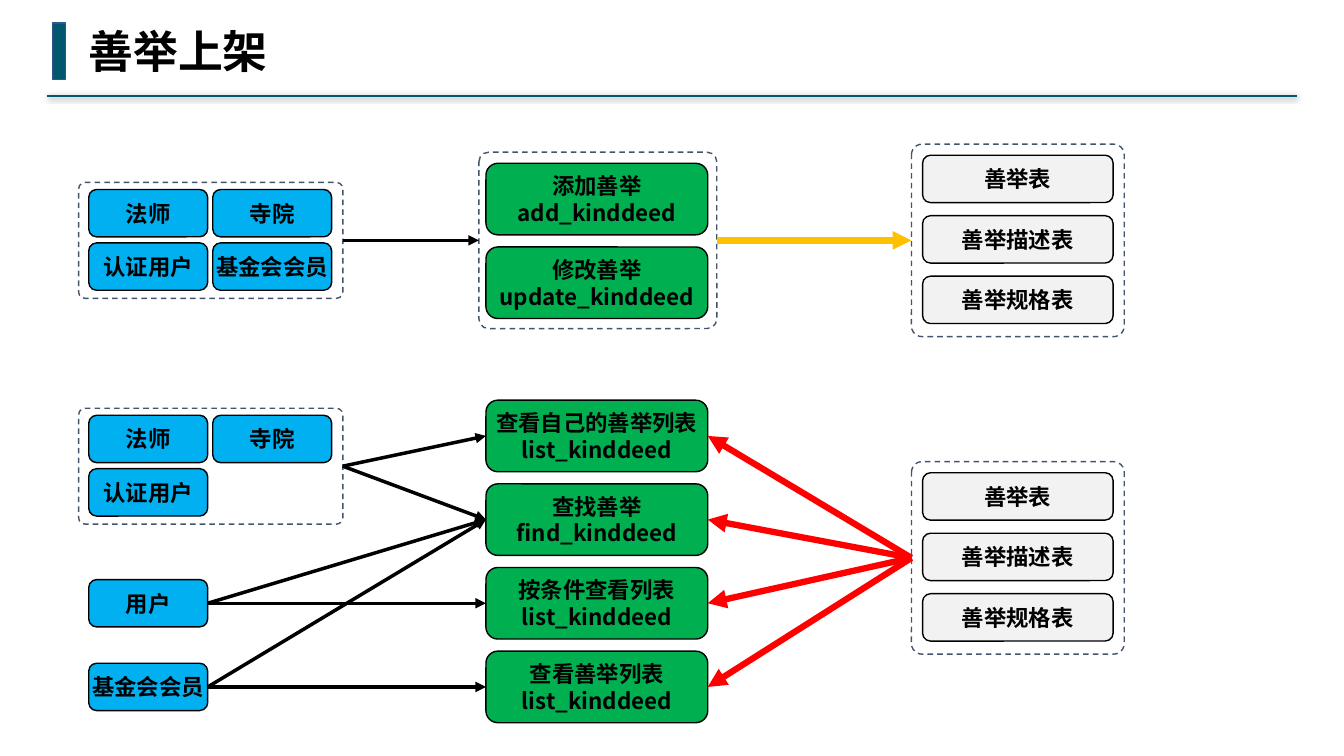
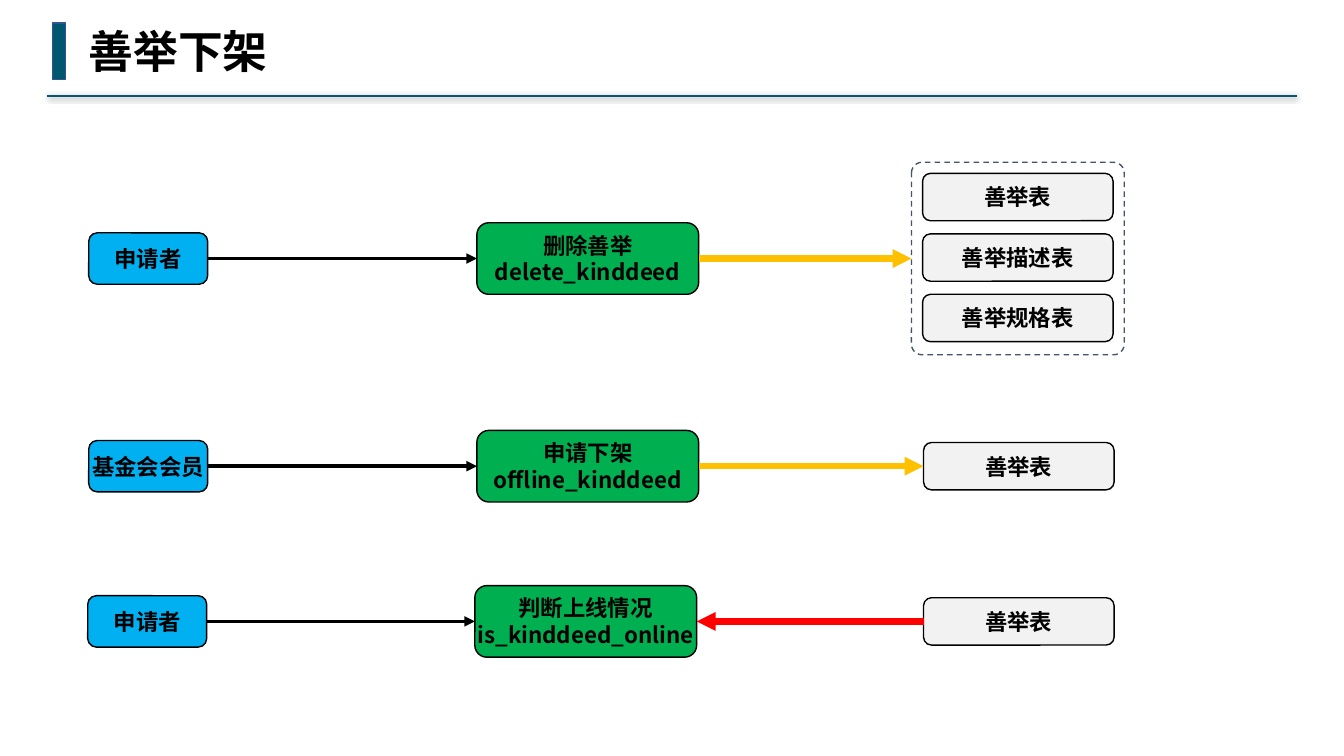
from lxml.etree import SubElement
from pptx import Presentation
from pptx.dml.color import RGBColor
from pptx.enum.dml import MSO_LINE
from pptx.enum.shapes import MSO_CONNECTOR, MSO_SHAPE
from pptx.enum.text import MSO_ANCHOR, MSO_AUTO_SIZE, PP_ALIGN
from pptx.oxml.ns import qn
from pptx.util import Pt

PX = 9144
COLORS = {
    "teal": "00576E", "bar_edge": "325491", "ink": "000000", "frame": "44546A",
    "person": "00B0F0", "service": "00B050", "table": "F2F2F2",
    "call": "000000", "write": "FFC000", "read": "FF0000",
}
SIZES = {"person": (118, 47), "service": (220, 71), "table": (189, 47)}
LINK_WIDTHS = {"call": 2.5, "write": 4.5, "read": 4.5}
BODY_FONT, TITLE_FONT = "Noto Sans CJK SC", "Noto Sans Mono"
LEFT_SITE, RIGHT_SITE = 1, 3
SERVICE_PITCH = 83
DEED_TABLES = ["善举表", "善举描述表", "善举规格表"]


def rgb(key):
    """Return the named colour."""
    return RGBColor.from_string(COLORS[key])


def style_font(paragraph, size, latin):
    """Set a bold black font on a whole paragraph."""
    font = paragraph.font
    font.size, font.bold, font.name = Pt(size), True, latin
    font.color.rgb = rgb("ink")
    properties = paragraph._p.find(".//" + qn("a:defRPr"))
    SubElement(properties, qn("a:ea")).set("typeface", BODY_FONT)


def add_outline(slide, preset, x, y, w, h, edge, fill=None):
    """Draw a preset shape with a thin edge and an optional fill."""
    outline = slide.shapes.add_shape(preset, x * PX, y * PX, w * PX, h * PX)
    outline.shadow.inherit = False
    if fill:
        outline.fill.solid()
        outline.fill.fore_color.rgb = rgb(fill)
    else:
        outline.fill.background()
    outline.line.color.rgb = rgb(edge)
    outline.line.width = Pt(1)
    return outline


def add_node(slide, kind, x, y, label, height=None):
    """Draw a rounded labelled box of the given kind."""
    w, h = SIZES[kind]
    node = add_outline(slide, MSO_SHAPE.ROUNDED_RECTANGLE, x, y, w, height or h, "ink", kind)
    frame = node.text_frame
    frame.word_wrap = False
    frame.vertical_anchor = MSO_ANCHOR.MIDDLE
    frame.margin_left = frame.margin_right = frame.margin_top = frame.margin_bottom = 4 * PX
    frame.text = label
    for paragraph in frame.paragraphs:
        paragraph.alignment = PP_ALIGN.CENTER
        style_font(paragraph, 16, BODY_FONT)
    return node


def add_frame(slide, x, y, w, h):
    """Draw a dashed rounded frame."""
    frame = add_outline(slide, MSO_SHAPE.ROUNDED_RECTANGLE, x, y, w, h, "frame")
    frame.adjustments[0] = 0.055
    frame.line.dash_style = MSO_LINE.DASH
    return frame


def add_people(slide, x, y, names):
    """Draw framed people in two columns and return the frame."""
    for i, name in enumerate(names):
        row, column = divmod(i, 2)
        add_node(slide, "person", x + 10 + 123 * column, y + 7 + 53 * row, name)
    return add_frame(slide, x, y, 262, 115)


def add_services(slide, x, y, labels):
    """Draw a column of services and return them."""
    return [add_node(slide, "service", x, y + SERVICE_PITCH * i, label)
            for i, label in enumerate(labels)]


def add_tables(slide, x, y):
    """Draw the framed deed tables and return the frame."""
    for i, name in enumerate(DEED_TABLES):
        add_node(slide, "table", x + 11, y + 11 + 60 * i, name)
    return add_frame(slide, x, y, 211, 191)


def add_effects(connector):
    """Replace the theme shadow by an empty effect list and return it."""
    return SubElement(connector._element.spPr, qn("a:effectLst"))


def add_link(slide, kind, source, target):
    """Draw an arrow between the facing sides of two boxes."""
    link = slide.shapes.add_connector(MSO_CONNECTOR.STRAIGHT, 0, 0, 0, 0)
    forward = source.left < target.left
    link.begin_connect(source, RIGHT_SITE if forward else LEFT_SITE)
    link.end_connect(target, LEFT_SITE if forward else RIGHT_SITE)
    link.line.color.rgb = rgb(kind)
    link.line.width = Pt(LINK_WIDTHS[kind])
    SubElement(link.line._get_or_add_ln(), qn("a:tailEnd")).set("type", "triangle")
    add_effects(link)


def add_header(slide, title):
    """Draw the accent bar, the title and the shadowed rule."""
    rule = slide.shapes.add_connector(MSO_CONNECTOR.STRAIGHT, 47 * PX, 95 * PX, 1286 * PX, 95 * PX)
    rule.line.color.rgb = rgb("teal")
    rule.line.width = Pt(1.5)
    shadow = SubElement(add_effects(rule), qn("a:outerShdw"), blurRad=str(Pt(4)),
                        dist=str(Pt(1)), dir="5400000", rotWithShape="0")
    shade = SubElement(shadow, qn("a:srgbClr"), val=COLORS["ink"])
    SubElement(shade, qn("a:alpha"), val="40000")
    add_outline(slide, MSO_SHAPE.RECTANGLE, 52, 23, 13, 56, "bar_edge", "teal")
    heading = slide.shapes.add_textbox(78 * PX, 19 * PX, 200 * PX, 64 * PX).text_frame
    heading.word_wrap = False
    heading.auto_size = MSO_AUTO_SIZE.SHAPE_TO_FIT_TEXT
    heading.text = title
    style_font(heading.paragraphs[0], 32, TITLE_FONT)


def add_slide(deck, title):
    """Add a blank slide with the shared header."""
    slide = deck.slides.add_slide(deck.slide_layouts[6])
    add_header(slide, title)
    return slide


def add_editing_flow(slide, x, y):
    """Draw who adds and updates deeds, and the tables written."""
    editors = add_people(slide, x, y + 38, ["法师", "寺院", "认证用户", "基金会会员"])
    add_services(slide, x + 404, y + 19, ["添加善举\nadd_kinddeed", "修改善举\nupdate_kinddeed"])
    services = add_frame(slide, x + 397, y + 8, 236, 175)
    tables = add_tables(slide, x + 826, y)
    add_link(slide, "call", editors, services)
    add_link(slide, "write", services, tables)


def add_viewing_flow(slide, x, y):
    """Draw who lists and finds deeds, and the tables read."""
    owners = add_people(slide, x, y + 8, ["法师", "寺院", "认证用户"])
    user, member = [add_node(slide, "person", x + 10, y + 12 + SERVICE_PITCH * row, name)
                    for row, name in ((2, "用户"), (3, "基金会会员"))]
    services = add_services(slide, x + 404, y, [
        "查看自己的善举列表\nlist_kinddeed", "查找善举\nfind_kinddeed",
        "按条件查看列表\nlist_kinddeed", "查看善举列表\nlist_kinddeed"])
    own, find, filtered, listed = services
    tables = add_tables(slide, x + 826, y + 61)
    for person, service in ((owners, own), (owners, find), (user, find),
                            (user, filtered), (member, find), (member, listed)):
        add_link(slide, "call", person, service)
    for service in services:
        add_link(slide, "read", tables, service)


def add_removal_row(slide, x, middle, person, service, access, framed=False, shift=0):
    """Draw one person, service and storage row around a middle line."""
    caller = add_node(slide, "person", x - shift // 2, middle - 25, person, 51)
    action = add_node(slide, "service", x + 385 - shift, middle - 35, service)
    if framed:
        storage = add_tables(slide, x + 816, middle - 95)
    else:
        storage = add_node(slide, "table", x + 828, middle - 23, DEED_TABLES[0])
    add_link(slide, "call", caller, action)
    ends = (storage, action) if access == "read" else (action, storage)
    add_link(slide, access, *ends)


def main():
    """Build and save the deck."""
    deck = Presentation()
    deck.slide_width, deck.slide_height = 1333 * PX, 750 * PX

    listing = add_slide(deck, "善举上架")
    add_editing_flow(listing, 78, 143)
    add_viewing_flow(listing, 78, 397)

    removal = add_slide(deck, "善举下架")
    add_removal_row(removal, 88, 256, "申请者", "删除善举\ndelete_kinddeed", "write", framed=True)
    add_removal_row(removal, 88, 462, "基金会会员", "申请下架\noffline_kinddeed", "write")
    add_removal_row(removal, 88, 616, "申请者", "判断上线情况\nis_kinddeed_online", "read", shift=2)

    deck.save("out.pptx")


if __name__ == "__main__":
    main()
